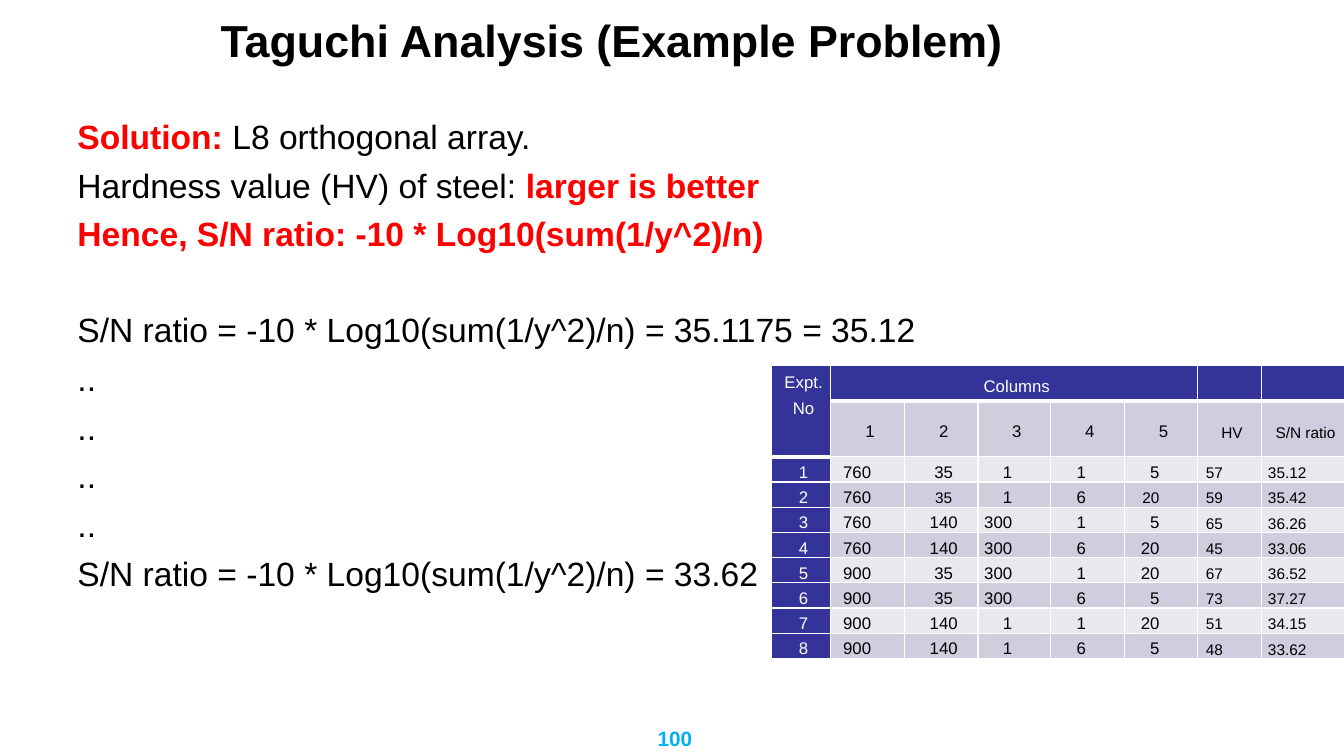
"""Build the Taguchi analysis slide with its worked solution and results table."""
from lxml import etree
from pptx import Presentation, util as u
from pptx.dml.color import RGBColor
from pptx.enum import text as t
from pptx.oxml.ns import qn

INK = {"black": "000000", "red": "FF0000", "sky": "00B0F0", "white": "FFFFFF",
       "navy": "333399", "odd": "E8E8EF", "even": "CECEDE"}
FONT = "Arial"
TITLE = "Taguchi Analysis (Example Problem)"
PAGE = "100"
RATIO = "S/N ratio = -10 * Log10(sum(1/y^2)/n) = "
GAP, SKIP = 6, 39.6
LINES = [
    (GAP, [("Solution: ", "red"), ("L8 orthogonal array. ", "black")]),
    (GAP, [("Hardness value (HV) of steel: ", "black"), ("larger is better", "red")]),
    (GAP, [("Hence, S/N ratio: -10 * Log10(sum(1/y^2)/n)", "red")]),
    (SKIP, [(RATIO + "35.1175 = 35.12", "black")]),
    *[(GAP, [("..", "black")])] * 4,
    (GAP, [(RATIO + "33.62", "black")]),
]
HEADS = [
    ("Expt. No", "Columns", "", "", "", "", "", ""),
    ("", "1", "2", "3", "4", "5", "HV", "S/N ratio"),
]
RUNS = [
    (1, 760, 35, 1, 1, 5, 57, "35.12"),
    (2, 760, 35, 1, 6, 20, 59, "35.42"),
    (3, 760, 140, 300, 1, 5, 65, "36.26"),
    (4, 760, 140, 300, 6, 20, 45, "33.06"),
    (5, 900, 35, 300, 1, 20, 67, "36.52"),
    (6, 900, 35, 300, 6, 5, 73, "37.27"),
    (7, 900, 140, 1, 1, 20, 51, "34.15"),
    (8, 900, 140, 1, 6, 5, 48, "33.62"),
]
COLS = [0.59, 0.73, 0.73, 0.72, 0.73, 0.73, 0.63, 0.83]
ROWS = [0.35] + [0.25] * 9
SMALL = {(3, 2), (3, 5)}
LEFT, TOP = 7.65, 3.63


def style(font, size, ink, bold=False):
    font.name, font.size, font.bold = FONT, u.Pt(size), bold
    font.color.rgb = RGBColor.from_string(INK[ink])


def add_box(slide, *at):
    frame = slide.shapes.add_textbox(*map(u.Inches, at)).text_frame
    frame.word_wrap = True
    return frame


def add_line(slide, at, words, size, ink, align):
    frame = add_box(slide, *at)
    para = frame.paragraphs[0]
    para.text, para.alignment = words, align
    style(para.font, size, ink, True)
    return frame


def add_body(slide):
    frame = add_box(slide, 0.67, 1.1, 12, 5.6)
    for i, (gap, parts) in enumerate(LINES):
        para = frame.add_paragraph() if i else frame.paragraphs[0]
        para.alignment = t.PP_ALIGN.JUSTIFY
        para.space_before = u.Pt(gap if i else 0)
        if len(parts) == 1:
            words, ink = parts[0]
            para.text = words
            style(para.font, 24, ink, ink == "red")
            continue
        for words, ink in parts:
            run = para.add_run()
            run.text = words
            style(run.font, 24, ink, ink == "red")


def edge(cell, row):
    props = cell._tc.get_or_add_tcPr()
    for side in "LRTB":
        width = u.Pt(3 if row == 0 and side == "B" else 1)
        line = etree.SubElement(props, qn(f"a:ln{side}"), w=str(width))
        fill = etree.SubElement(line, qn("a:solidFill"))
        etree.SubElement(fill, qn("a:srgbClr"), val=INK["white"])


def fill_cell(cell, row, col, words):
    edge(cell, row)
    dark = row == 0 or col == 0
    shade = "navy" if dark else "even" if row % 2 else "odd"
    cell.fill.solid()
    cell.fill.fore_color.rgb = RGBColor.from_string(INK[shade])
    cell.margin_left = cell.margin_right = cell.margin_top = cell.margin_bottom = 0
    corner = row == 0 and col == 0
    cell.vertical_anchor = t.MSO_ANCHOR.TOP if corner else t.MSO_ANCHOR.MIDDLE
    if not words:
        return
    para = cell.text_frame.paragraphs[0]
    para.text = words
    para.line_spacing = 1.38 if corner else u.Pt(17.8)
    props = para._p.get_or_add_pPr()
    props.set("marL", str(u.Inches(0.05)))
    if row < 2 or col in (0, 2):
        para.alignment = t.PP_ALIGN.CENTER
    else:
        para.alignment = t.PP_ALIGN.RIGHT
        props.set("marR", str(u.Inches(0.33 if col == 1 else 0.38)))
    small = row and col > 5 or (row, col) in SMALL
    style(para.font, 11 if small else 12, "white" if dark else "black")


def add_grid(slide):
    size = map(u.Inches, (LEFT, TOP, sum(COLS), sum(ROWS)))
    grid = slide.shapes.add_table(len(ROWS), len(COLS), *size).table
    for col, width in zip(grid.columns, COLS):
        col.width = u.Inches(width)
    for row, height in zip(grid.rows, ROWS):
        row.height = u.Inches(height)
    grid.cell(0, 0).merge(grid.cell(1, 0))
    grid.cell(0, 1).merge(grid.cell(0, 5))
    for r, row in enumerate(HEADS + RUNS):
        for c, value in enumerate(row):
            fill_cell(grid.cell(r, c), r, c, str(value))


def main():
    deck = Presentation()
    deck.slide_width, deck.slide_height = u.Inches(13.33), u.Inches(7.5)
    slide = deck.slides.add_slide(deck.slide_layouts[6])
    title = add_line(slide, (2.09, 0.16, 11.23, 0.47), TITLE, 32, "black", t.PP_ALIGN.LEFT)
    title.vertical_anchor = t.MSO_ANCHOR.MIDDLE
    add_body(slide)
    add_line(slide, (6.16, 7.15, 1.07, 0.41), PAGE, 14.8, "sky", t.PP_ALIGN.CENTER)
    add_grid(slide)
    deck.save("out.pptx")


if __name__ == "__main__":
    main()
